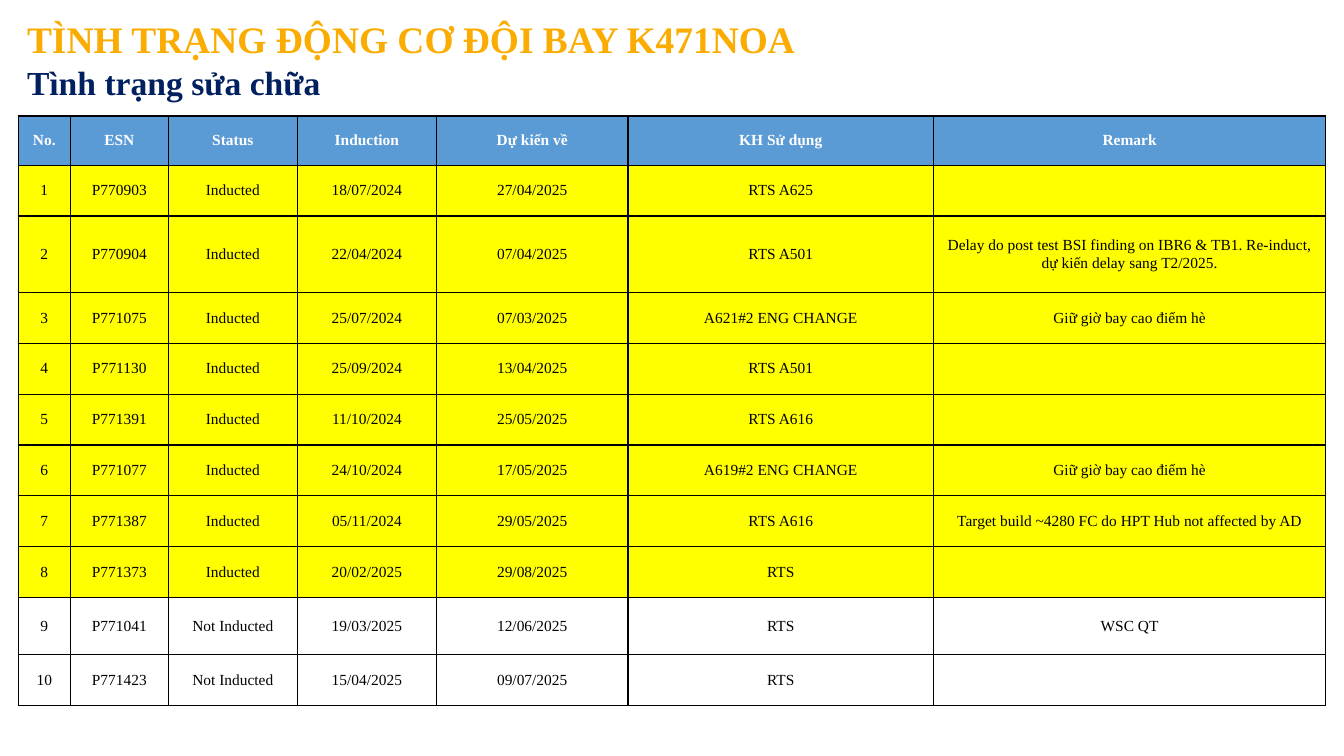
from dataclasses import dataclass

from lxml.etree import SubElement
from pptx import Presentation
from pptx.dml.color import RGBColor
from pptx.enum.text import MSO_ANCHOR, PP_ALIGN
from pptx.oxml.ns import qn
from pptx.slide import Slide
from pptx.table import _Cell
from pptx.text.text import _Paragraph
from pptx.util import Inches, Pt


@dataclass(frozen=True)
class Theme:
    font: str = "Times New Roman"
    title_color: str = "FBAC00"
    subtitle_color: str = "002060"
    header_fill: str = "5B9BD5"
    inducted_fill: str = "FFFF00"
    plain_fill: str = "FFFFFF"
    header_text: str = "FFFFFF"
    body_text: str = "000000"
    border: str = "000000"
    title_size: float = 26.7
    subtitle_size: float = 24
    table_size: float = 11
    border_width: float = 1


@dataclass(frozen=True)
class Heading:
    text: str
    top: float
    width: float
    height: float
    size: float
    color: str


@dataclass(frozen=True)
class Engine:
    serial: str
    status: str
    induction: str
    expected_return: str
    planned_use: str
    remark: str = ""


THEME = Theme()
HEADINGS = [
    Heading("Tình trạng sửa chữa", 0.57, 4.67, 0.5, THEME.subtitle_size, THEME.subtitle_color),
    Heading("TÌNH TRẠNG ĐỘNG CƠ ĐỘI BAY K471NOA", 0.11, 13, 0.55, THEME.title_size, THEME.title_color),
]
COLUMN_NAMES = ["No.", "ESN", "Status", "Induction", "Dự kiến về", "KH Sử dụng", "Remark"]
COLUMN_WIDTHS = [0.52, 0.97, 1.28, 1.38, 1.9, 3.03, 3.89]
TABLE_HEIGHT = 5.85
SPECIAL_ROW_HEIGHTS = {0: 0.49, 2: 0.76, 9: 0.57}
ENGINES = [
    Engine("P770903", "Inducted", "18/07/2024", "27/04/2025", "RTS A625"),
    Engine("P770904", "Inducted", "22/04/2024", "07/04/2025", "RTS A501",
           "Delay do post test BSI finding on IBR6 & TB1. Re-induct, dự kiến delay sang T2/2025."),
    Engine("P771075", "Inducted", "25/07/2024", "07/03/2025", "A621#2 ENG CHANGE", "Giữ giờ bay cao điểm hè"),
    Engine("P771130", "Inducted", "25/09/2024", "13/04/2025", "RTS A501"),
    Engine("P771391", "Inducted", "11/10/2024", "25/05/2025", "RTS A616"),
    Engine("P771077", "Inducted", "24/10/2024", "17/05/2025", "A619#2 ENG CHANGE", "Giữ giờ bay cao điểm hè"),
    Engine("P771387", "Inducted", "05/11/2024", "29/05/2025", "RTS A616",
           "Target build ~4280 FC do HPT Hub not affected by AD"),
    Engine("P771373", "Inducted", "20/02/2025", "29/08/2025", "RTS"),
    Engine("P771041", "Not Inducted", "19/03/2025", "12/06/2025", "RTS", "WSC QT"),
    Engine("P771423", "Not Inducted", "15/04/2025", "09/07/2025", "RTS"),
]


def add_text(paragraph: _Paragraph, text: str, size: float, color: str, bold: bool) -> None:
    run = paragraph.add_run()
    run.text = text
    run.font.name = THEME.font
    run.font.size = Pt(size)
    run.font.bold = bold
    run.font.color.rgb = RGBColor.from_string(color)


def add_heading(slide: Slide, heading: Heading) -> None:
    shape = slide.shapes.add_textbox(
        Inches(0.17), Inches(heading.top), Inches(heading.width), Inches(heading.height))
    shape.text_frame.word_wrap = True
    add_text(shape.text_frame.paragraphs[0], heading.text, heading.size, heading.color, True)


def add_borders(cell: _Cell) -> None:
    properties = cell._tc.get_or_add_tcPr()
    for position, side in enumerate(("a:lnL", "a:lnR", "a:lnT", "a:lnB")):
        line = SubElement(properties, qn(side), w=str(Pt(THEME.border_width)))
        fill = SubElement(line, qn("a:solidFill"))
        SubElement(fill, qn("a:srgbClr"), val=THEME.border)
        properties.insert(position, line)


def fill_cell(cell: _Cell, text: str, fill: str, color: str, bold: bool) -> None:
    cell.fill.solid()
    cell.fill.fore_color.rgb = RGBColor.from_string(fill)
    cell.vertical_anchor = MSO_ANCHOR.MIDDLE
    cell.margin_left = cell.margin_right = Inches(0.13)
    cell.margin_top = cell.margin_bottom = Inches(0.07)
    add_borders(cell)
    if text:
        paragraph = cell.text_frame.paragraphs[0]
        paragraph.alignment = PP_ALIGN.CENTER
        add_text(paragraph, text, THEME.table_size, color, bold)


def add_engine_table(slide: Slide) -> None:
    row_count = len(ENGINES) + 1
    table = slide.shapes.add_table(
        row_count, len(COLUMN_NAMES), Inches(0.18), Inches(1.15),
        Inches(sum(COLUMN_WIDTHS)), Inches(TABLE_HEIGHT)).table
    table.first_row = table.horz_banding = False
    for column, width in zip(table.columns, COLUMN_WIDTHS):
        column.width = Inches(width)
    regular_height = (TABLE_HEIGHT - sum(SPECIAL_ROW_HEIGHTS.values())) / (row_count - len(SPECIAL_ROW_HEIGHTS))
    for index, row in enumerate(table.rows):
        row.height = Inches(SPECIAL_ROW_HEIGHTS.get(index, regular_height))
    for cell, name in zip(table.rows[0].cells, COLUMN_NAMES):
        fill_cell(cell, name, THEME.header_fill, THEME.header_text, True)
    for number, engine in enumerate(ENGINES, start=1):
        fill = THEME.inducted_fill if engine.status == "Inducted" else THEME.plain_fill
        values = [str(number), engine.serial, engine.status, engine.induction,
                  engine.expected_return, engine.planned_use, engine.remark]
        for cell, value in zip(table.rows[number].cells, values):
            fill_cell(cell, value, fill, THEME.body_text, False)


def main() -> None:
    presentation = Presentation()
    presentation.slide_width = Inches(13.33)
    presentation.slide_height = Inches(7.5)
    slide = presentation.slides.add_slide(presentation.slide_layouts[6])
    add_engine_table(slide)
    for heading in HEADINGS:
        add_heading(slide, heading)
    presentation.save("out.pptx")


if __name__ == "__main__":
    main()
